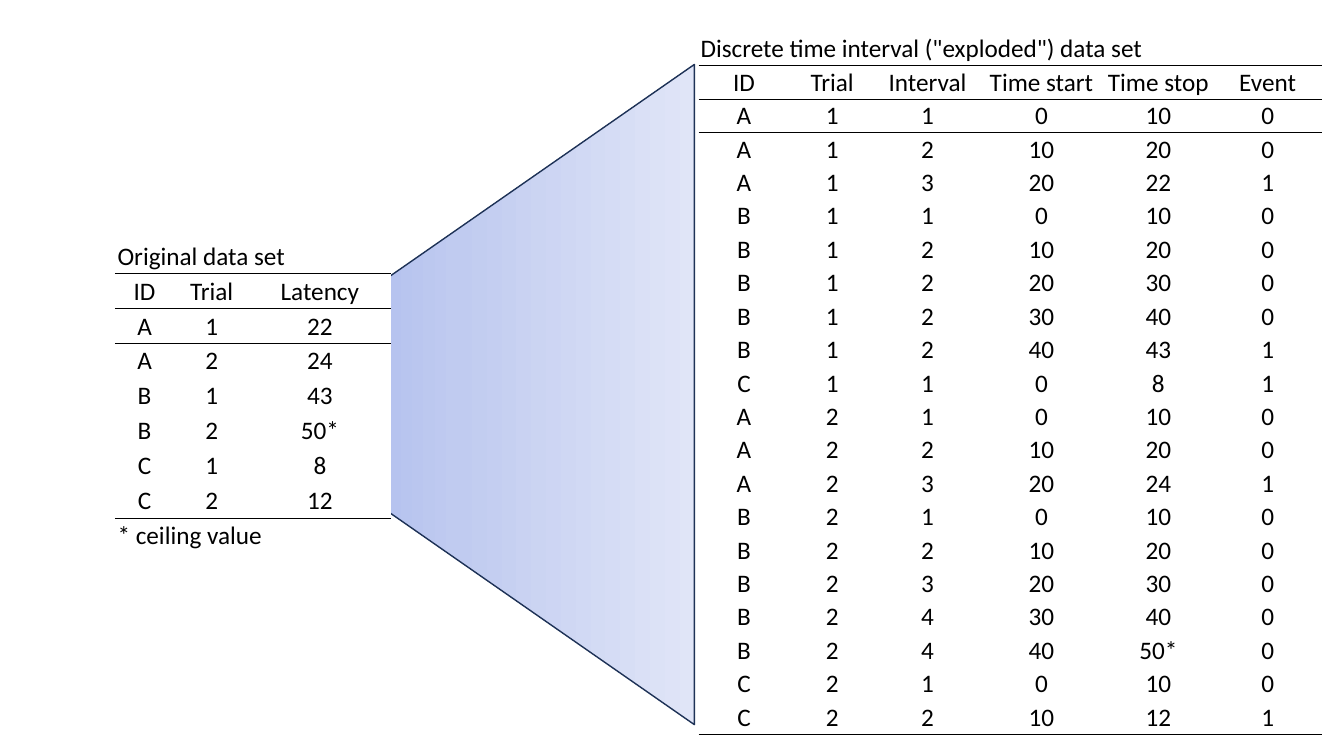
from copy import deepcopy

from lxml.etree import SubElement
from pptx import Presentation
from pptx.dml.color import RGBColor
from pptx.enum.shapes import MSO_SHAPE
from pptx.enum.text import MSO_ANCHOR, PP_ALIGN
from pptx.oxml.ns import qn
from pptx.util import Pt

BLACK, WHITE, NAVY = "000000", "FFFFFF", "1E3256"
FAN_STOPS = [(0, "96ABEA"), (0.5, "C0CBF0"), (1, "E0E5F7")]
NO_GRID_STYLE = "{2D5ABB26-0587-4C30-8999-92F81FD0307C}"

LATENCY_ROWS = [
    ["Original data set"],
    ["ID", "Trial", "Latency"],
    ["A", "1", "22"],
    ["A", "2", "24"],
    ["B", "1", "43"],
    ["B", "2", "50*"],
    ["C", "1", "8"],
    ["C", "2", "12"],
    ["* ceiling value"],
]
INTERVAL_ROWS = [
    ['Discrete time interval ("exploded") data set'],
    ["ID", "Trial", "Interval", "Time start", "Time stop", "Event"],
    ["A", "1", "1", "0", "10", "0"],
    ["A", "1", "2", "10", "20", "0"],
    ["A", "1", "3", "20", "22", "1"],
    ["B", "1", "1", "0", "10", "0"],
    ["B", "1", "2", "10", "20", "0"],
    ["B", "1", "2", "20", "30", "0"],
    ["B", "1", "2", "30", "40", "0"],
    ["B", "1", "2", "40", "43", "1"],
    ["C", "1", "1", "0", "8", "1"],
    ["A", "2", "1", "0", "10", "0"],
    ["A", "2", "2", "10", "20", "0"],
    ["A", "2", "3", "20", "24", "1"],
    ["B", "2", "1", "0", "10", "0"],
    ["B", "2", "2", "10", "20", "0"],
    ["B", "2", "3", "20", "30", "0"],
    ["B", "2", "4", "30", "40", "0"],
    ["B", "2", "4", "40", "50*", "0"],
    ["C", "2", "1", "0", "10", "0"],
    ["C", "2", "2", "10", "12", "1"],
]


def color(value):
    return RGBColor.from_string(value)


def write(frame, text, size=18, font="Calibri", fill=BLACK, align=PP_ALIGN.LEFT):
    paragraph = frame.paragraphs[0]
    paragraph.alignment = align
    run = paragraph.add_run()
    run.text = text
    run.font.size = Pt(size)
    run.font.name = font
    run.font.color.rgb = color(fill)


def add_rule(cell, side, value=BLACK, width=1):
    line = SubElement(cell._tc.get_or_add_tcPr(), qn(f"a:ln{side}"), w=str(Pt(width)))
    paint = SubElement(line, qn("a:solidFill"))
    SubElement(paint, qn("a:srgbClr"), val=value)


def data_table(slide, box, rows, widths, ruled, inset, fill=None):
    left, top, width, height = box
    table = slide.shapes.add_table(
        len(rows), len(widths), Pt(left), Pt(top), Pt(width), Pt(height)).table
    table.first_row = table.horz_banding = False
    table._tbl.tblPr.find(qn("a:tableStyleId")).text = NO_GRID_STYLE
    for column, share in zip(table.columns, widths):
        column.width = Pt(share)
    for r, values in enumerate(rows):
        table.rows[r].height = Pt(height / len(rows))
        for c in range(len(widths)):
            cell = table.cell(r, c)
            cell.margin_left = cell.margin_right = Pt(inset[0])
            cell.margin_top = cell.margin_bottom = Pt(inset[1])
            cell.vertical_anchor = MSO_ANCHOR.BOTTOM
            if r - 1 in ruled:
                add_rule(cell, "T")
            if r in ruled:
                add_rule(cell, "B")
            if fill:
                cell.fill.solid()
                cell.fill.fore_color.rgb = color(fill)
            else:
                cell.fill.background()
        spanning = len(values) == 1
        if spanning:
            table.cell(r, 0).merge(table.cell(r, len(widths) - 1))
        for c, value in enumerate(values):
            write(table.cell(r, c).text_frame, value,
                  align=PP_ALIGN.LEFT if spanning else PP_ALIGN.CENTER)


def explosion_fan(slide, box):
    left, top, width, height = box
    fan = slide.shapes.add_shape(
        MSO_SHAPE.ISOSCELES_TRIANGLE, Pt(left + (width - height) / 2),
        Pt(top + (height - width) / 2), Pt(height), Pt(width))
    fan.rotation = 270
    fan.shadow.inherit = False
    fan.line.color.rgb = color(NAVY)
    fan.line.width = Pt(1)
    fan.fill.gradient()
    fan.fill.gradient_angle = 270
    stop_list = fan._element.spPr.find(qn("a:gradFill")).find(qn("a:gsLst"))
    stop_list.append(deepcopy(stop_list[0]))
    for stop, (position, value) in zip(fan.fill.gradient_stops, FAN_STOPS):
        stop.position = position
        stop.color.rgb = color(value)


def main():
    deck = Presentation()
    deck.slide_width, deck.slide_height = Pt(960), Pt(540)
    slide = deck.slides.add_slide(deck.slide_layouts[6])
    data_table(slide, (499, 23.2, 445, 501.5), INTERVAL_ROWS,
               [64.8, 61.2, 75, 87.8, 79.2, 77], {0, 1, 20}, (1.4, 0.9))
    explosion_fan(slide, (157, 46, 339, 471.6))
    data_table(slide, (82, 170.6, 197, 225), LATENCY_ROWS,
               [42.5, 53.5, 101], {0, 1, 7}, (2, 1.4), fill=WHITE)
    deck.save("out.pptx")


if __name__ == "__main__":
    main()
